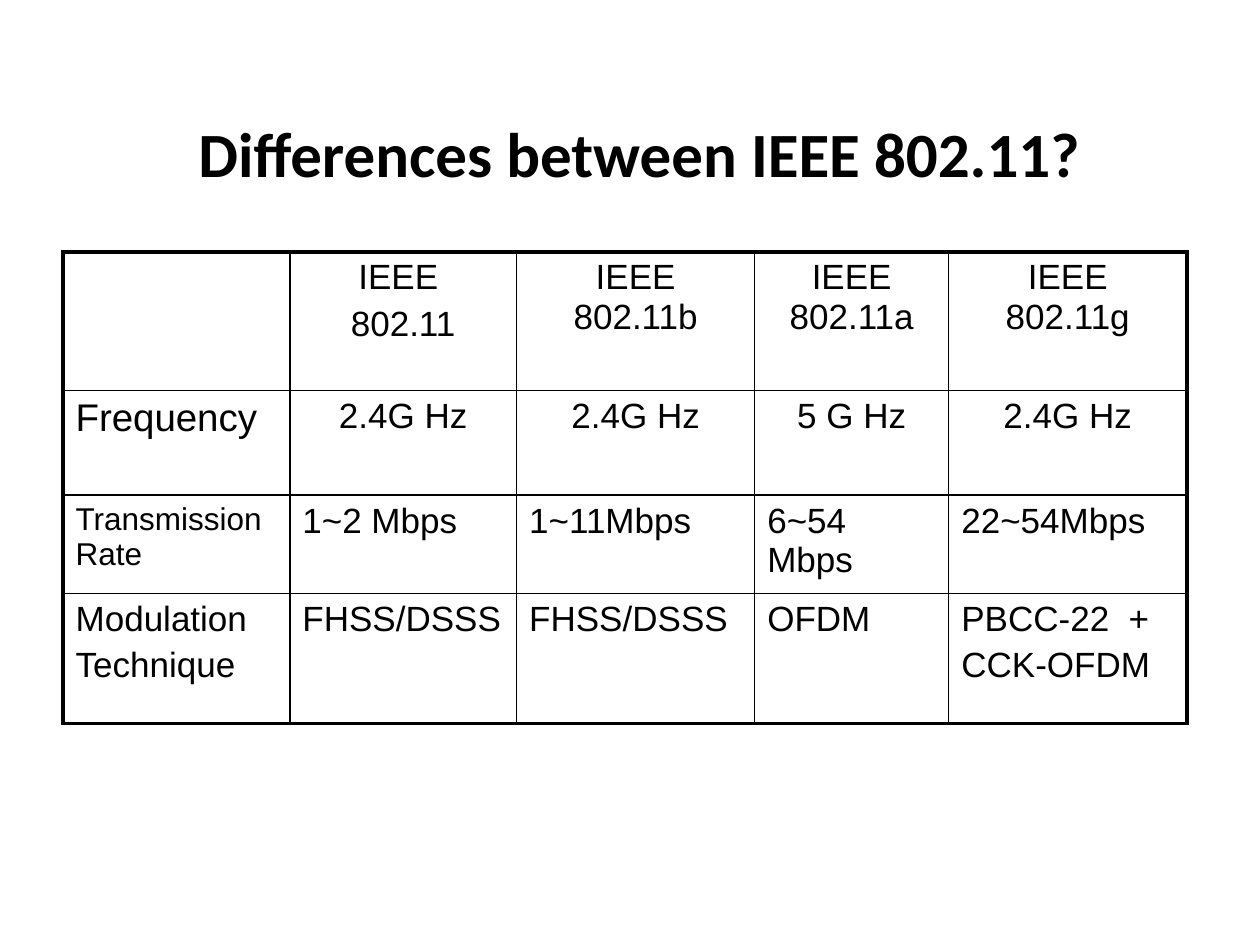
"""Build a slide with a table comparing the IEEE 802.11 standards."""
from dataclasses import dataclass

import lxml.etree
import pptx
import pptx.dml.color
import pptx.enum.text
import pptx.oxml.ns
import pptx.util

Inches = pptx.util.Inches
Pt = pptx.util.Pt
ALIGN = pptx.enum.text.PP_ALIGN

TITLE = "Differences between IEEE 802.11?"
ROWS = [
    ["", "IEEE \n802.11", "IEEE 802.11b", "IEEE 802.11a", "IEEE 802.11g"],
    ["Frequency", "2.4G Hz", "2.4G Hz", "5 G Hz", "2.4G Hz"],
    ["Transmission Rate", "1~2 Mbps", "1~11Mbps", "6~54 Mbps", "22~54Mbps"],
    ["Modulation\nTechnique", "FHSS/DSSS", "FHSS/DSSS", "OFDM", "PBCC-22  +\nCCK-OFDM"],
]
COLUMN_WIDTHS = [1.8, 1.8, 1.89, 1.54, 1.89]
ROW_HEIGHTS = [1.1, 0.83, 0.78, 1.03]
CENTERED_ROWS = 2


@dataclass(frozen=True)
class Theme:
    title_font: str = "Calibri"
    body_font: str = "Arial"
    ink: str = "000000"
    title_size: float = 36
    body_size: float = 20
    label_sizes: tuple = (20, 22, 18, 20)
    paragraph_gap: float = 4
    inner_line: float = 1
    outer_line: float = 2.25


THEME = Theme()


def format_font(font, name, size, bold=False):
    font.name = name
    font.size = Pt(size)
    font.bold = bold
    font.color.rgb = pptx.dml.color.RGBColor.from_string(THEME.ink)


def add_title(slide):
    title = slide.shapes.title
    title.left, title.top = Inches(0.35), Inches(0.79)
    title.width, title.height = Inches(9.45), Inches(0.83)
    frame = title.text_frame
    frame.text = TITLE
    frame.vertical_anchor = pptx.enum.text.MSO_ANCHOR.MIDDLE
    paragraph = frame.paragraphs[0]
    paragraph.alignment = ALIGN.CENTER
    format_font(paragraph.runs[0].font, THEME.title_font, THEME.title_size, True)


def draw_borders(cell, outer_sides):
    qn = pptx.oxml.ns.qn
    properties = cell._tc.get_or_add_tcPr()
    for side, is_outer in outer_sides.items():
        width = THEME.outer_line if is_outer else THEME.inner_line
        line = lxml.etree.SubElement(properties, qn(f"a:ln{side}"), w=str(Pt(width)))
        fill = lxml.etree.SubElement(line, qn("a:solidFill"))
        lxml.etree.SubElement(fill, qn("a:srgbClr"), val=THEME.ink)


def fill_cell(cell, text, size, alignment):
    cell.text_frame.text = text
    for index, paragraph in enumerate(cell.text_frame.paragraphs):
        paragraph.alignment = alignment
        paragraph.space_before = Pt(THEME.paragraph_gap if index else 0)
        for run in paragraph.runs:
            format_font(run.font, THEME.body_font, size)


def add_comparison(slide):
    table = slide.shapes.add_table(
        len(ROWS), len(COLUMN_WIDTHS), Inches(0.5), Inches(2),
        Inches(sum(COLUMN_WIDTHS)), Inches(sum(ROW_HEIGHTS)),
    ).table
    table.first_row = table.horz_banding = False
    for column, width in zip(table.columns, COLUMN_WIDTHS):
        column.width = Inches(width)
    for row, height in zip(table.rows, ROW_HEIGHTS):
        row.height = Inches(height)
    last_row, last_column = len(ROWS) - 1, len(COLUMN_WIDTHS) - 1
    for r, texts in enumerate(ROWS):
        for c, text in enumerate(texts):
            cell = table.cell(r, c)
            is_label = c == 0
            size = THEME.body_size if c else THEME.label_sizes[r]
            centered = r < CENTERED_ROWS and not is_label
            fill_cell(cell, text, size, ALIGN.CENTER if centered else ALIGN.LEFT)
            draw_borders(cell, {
                "L": is_label, "R": c == last_column, "T": r == 0, "B": r == last_row,
            })
            cell.fill.background()


def main():
    presentation = pptx.Presentation()
    presentation.slide_width, presentation.slide_height = Inches(10), Inches(7.5)
    slide = presentation.slides.add_slide(presentation.slide_layouts.get_by_name("Title Only"))
    add_title(slide)
    add_comparison(slide)
    presentation.save("out.pptx")


if __name__ == "__main__":
    main()
